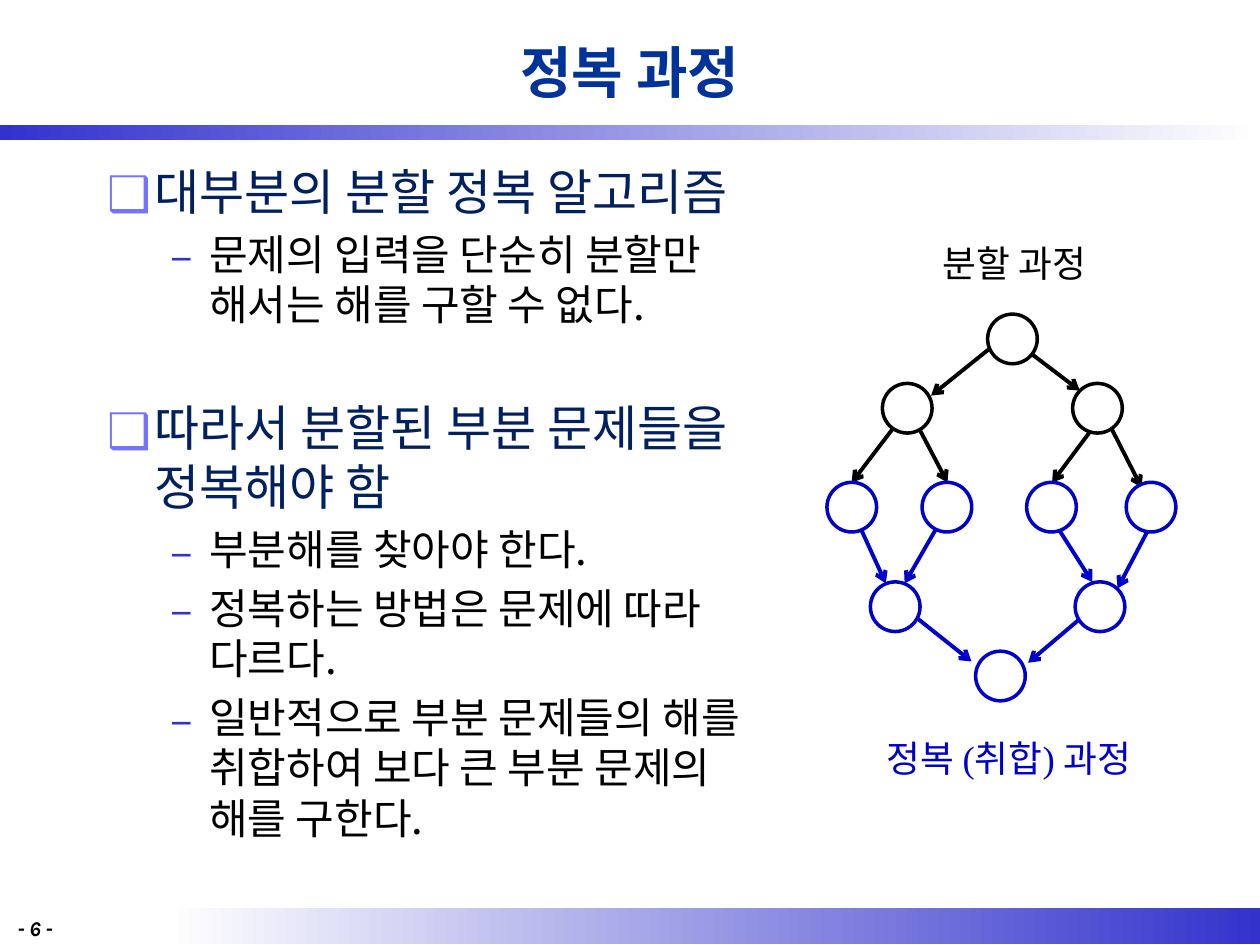
import pptx
import pptx.dml.color
import pptx.enum.shapes
import pptx.enum.text
import pptx.oxml
import pptx.oxml.ns
import pptx.util
from lxml import etree

COLORS = {
    "title": "003399", "heading": "002060", "divide": "000000",
    "conquer": "0000CC", "band": "3333CC", "box": "7373FF",
    "paper": "FFFFFF",
}
KOREAN = "Noto Sans CJK KR"
SERIF = "Times New Roman"
COLUMNS, ROWS = 100, 75
CELL = pptx.util.Inches(10) // COLUMNS
NODE = 3.94  # circle diameter in cells

# level, space before in points, text
OUTLINE = [
    (0, 5.6, "대부분의 분할 정복 알고리즘"),
    (1, 4.8, "문제의 입력을 단순히 분할만 해서는 해를 구할 수 없다."),
    (0, 39, "따라서 분할된 부분 문제들을 정복해야 함"),
    (1, 4.8, "부분해를 찾아야 한다."),
    (1, 4.8, "정복하는 방법은 문제에 따라 다르다."),
    (1, 4.8, "일반적으로 부분 문제들의 해를 취합하여 보다 큰 부분 문제의 해를 구한다."),
]
# size, text colour, bullet, bullet colour, left margin and hanging indent in cells
LEVELS = [
    (28, "heading", "❑", "box", 3.75, 3.75),
    (24, "divide", "–", "band", 8.1, 3.1),
]

# Centres of the circles and ends of the arrows, in columns and rows
DIVIDE_NODES = [(80.35, 26.9), (72, 32.4), (87.1, 32.4)]
DIVIDE_ARROWS = [
    (72.1, 32.4, 67.6, 38.3), (72.1, 32.4, 75.2, 38.3),
    (87.6, 32.8, 83.5, 38.3), (87.6, 32.8, 90.6, 38.7),
    (79.5, 26.9, 73.9, 31.4), (80.3, 26.9, 85.7, 31),
]
CONQUER_NODES = [
    (67.6, 40.25), (75.15, 40.25), (83.45, 40.25), (91.35, 40.25),
    (71.05, 48.15), (87.3, 48.15), (79.4, 53.65),
]
CONQUER_ARROWS = [
    (92.1, 40.2, 88.7, 46.7), (83, 40.4, 86.7, 46.2),
    (75.2, 40.4, 71.8, 46.3), (67.6, 40.4, 70.3, 46.3),
    (87.5, 47.6, 81.6, 52.6), (71.7, 48.2, 77.1, 52.5),
]


def cells(*values):
    return [round(value * CELL) for value in values]


def rgb(name):
    return pptx.dml.color.RGBColor.from_string(COLORS[name])


def format_paragraph(paragraph, size, font, color, bold=False, italic=False):
    for run in paragraph.runs:
        run.font.size = pptx.util.Pt(size)
        run.font.name = font
        run.font.bold = bold
        run.font.italic = italic
        run.font.color.rgb = rgb(color)
        east_asian = etree.SubElement(
            run.font._element, pptx.oxml.ns.qn("a:ea"))
        east_asian.set("typeface", KOREAN)


def set_bullet(paragraph, character, color, margin, hanging):
    properties = paragraph._p.get_or_add_pPr()
    left, indent = cells(margin, -hanging)
    properties.set("marL", str(left))
    properties.set("indent", str(indent))
    namespace = pptx.oxml.ns.nsdecls("a")
    for xml in (
        f'<a:buClr {namespace}><a:srgbClr val="{COLORS[color]}"/></a:buClr>',
        f'<a:buFont {namespace} typeface="{KOREAN}"/>',
        f'<a:buChar {namespace} char="{character}"/>',
    ):
        properties.append(pptx.oxml.parse_xml(xml))


def place(shape, *box):
    shape.left, shape.top, shape.width, shape.height = cells(*box)


def add_band(slide, box, start, end):
    band = slide.shapes.add_shape(
        pptx.enum.shapes.MSO_SHAPE.RECTANGLE, *cells(*box))
    band.shadow.inherit = False
    band.line.fill.background()
    band.fill.gradient()
    band.fill.gradient_angle = 0
    for stop, color in zip(band.fill.gradient_stops, (start, end)):
        stop.color.rgb = rgb(color)


def add_label(slide, text, box, size, font, color, centered=True, **style):
    label = slide.shapes.add_textbox(*cells(*box))
    label.text_frame.word_wrap = True
    label.text_frame.text = text
    paragraph = label.text_frame.paragraphs[0]
    if centered:
        paragraph.alignment = pptx.enum.text.PP_ALIGN.CENTER
    format_paragraph(paragraph, size, font, color, **style)


def fill_title(title, text):
    place(title, 7.5, 0.5, 85, 10.3)
    title.text_frame.text = text
    title.text_frame.auto_size = pptx.enum.text.MSO_AUTO_SIZE.NONE
    title.text_frame.vertical_anchor = pptx.enum.text.MSO_ANCHOR.MIDDLE
    paragraph = title.text_frame.paragraphs[0]
    paragraph.alignment = pptx.enum.text.PP_ALIGN.CENTER
    format_paragraph(paragraph, 32, KOREAN, "title", bold=True)


def fill_outline(body):
    place(body, 7.5, 12.3, 56.6, 56.7)
    frame = body.text_frame
    frame.text = "\n".join(text for _, _, text in OUTLINE)
    frame.auto_size = pptx.enum.text.MSO_AUTO_SIZE.NONE
    for paragraph, (level, space, _) in zip(frame.paragraphs, OUTLINE):
        size, color, *bullet = LEVELS[level]
        paragraph.level = level
        paragraph.space_before = pptx.util.Pt(space)
        set_bullet(paragraph, *bullet)
        format_paragraph(paragraph, size, KOREAN, color)


def add_arrow(slide, ends, color):
    arrow = slide.shapes.add_connector(
        pptx.enum.shapes.MSO_CONNECTOR.STRAIGHT, *cells(*ends))
    arrow.line.color.rgb = rgb(color)
    arrow.line.width = pptx.util.Pt(2.25)
    head = etree.SubElement(
        arrow.line._get_or_add_ln(), pptx.oxml.ns.qn("a:tailEnd"))
    head.set("type", "arrow")
    etree.SubElement(arrow._element.spPr, pptx.oxml.ns.qn("a:effectLst"))


def add_node(slide, center, color):
    column, row = center
    node = slide.shapes.add_shape(
        pptx.enum.shapes.MSO_SHAPE.OVAL,
        *cells(column - NODE / 2, row - NODE / 2, NODE, NODE))
    node.shadow.inherit = False
    node.fill.solid()
    node.fill.fore_color.rgb = rgb("paper")
    node.line.color.rgb = rgb(color)
    node.line.width = pptx.util.Pt(2)


def add_tree(slide, nodes, arrows, color):
    """Draw the arrows first so that the circles cover their inner ends."""
    for ends in arrows:
        add_arrow(slide, ends, color)
    for center in nodes:
        add_node(slide, center, color)


def main():
    presentation = pptx.Presentation()
    presentation.slide_width = COLUMNS * CELL
    presentation.slide_height = ROWS * CELL
    slide = presentation.slides.add_slide(presentation.slide_layouts[1])

    fill_title(slide.shapes.title, "정복 과정")
    fill_outline(slide.placeholders[1])
    add_band(slide, (13.3, 72.1, 86.7, 2.8), "paper", "band")
    add_band(slide, (0, 9.9, 100, 1.2), "band", "paper")
    add_label(slide, "- 6 -", (0.4, 72.2, 7.1, 2.4), 12, "Karla", "divide",
              centered=False, bold=True, italic=True)

    add_tree(slide, DIVIDE_NODES, DIVIDE_ARROWS, "divide")
    add_label(slide, "분할 과정", (71, 18.6, 19, 4), 21, SERIF, "divide")
    add_tree(slide, CONQUER_NODES, CONQUER_ARROWS, "conquer")
    add_label(slide, "정복 (취합) 과정", (67.6, 57.9, 25, 4), 21, SERIF, "conquer")

    presentation.save("out.pptx")


if __name__ == "__main__":
    main()
